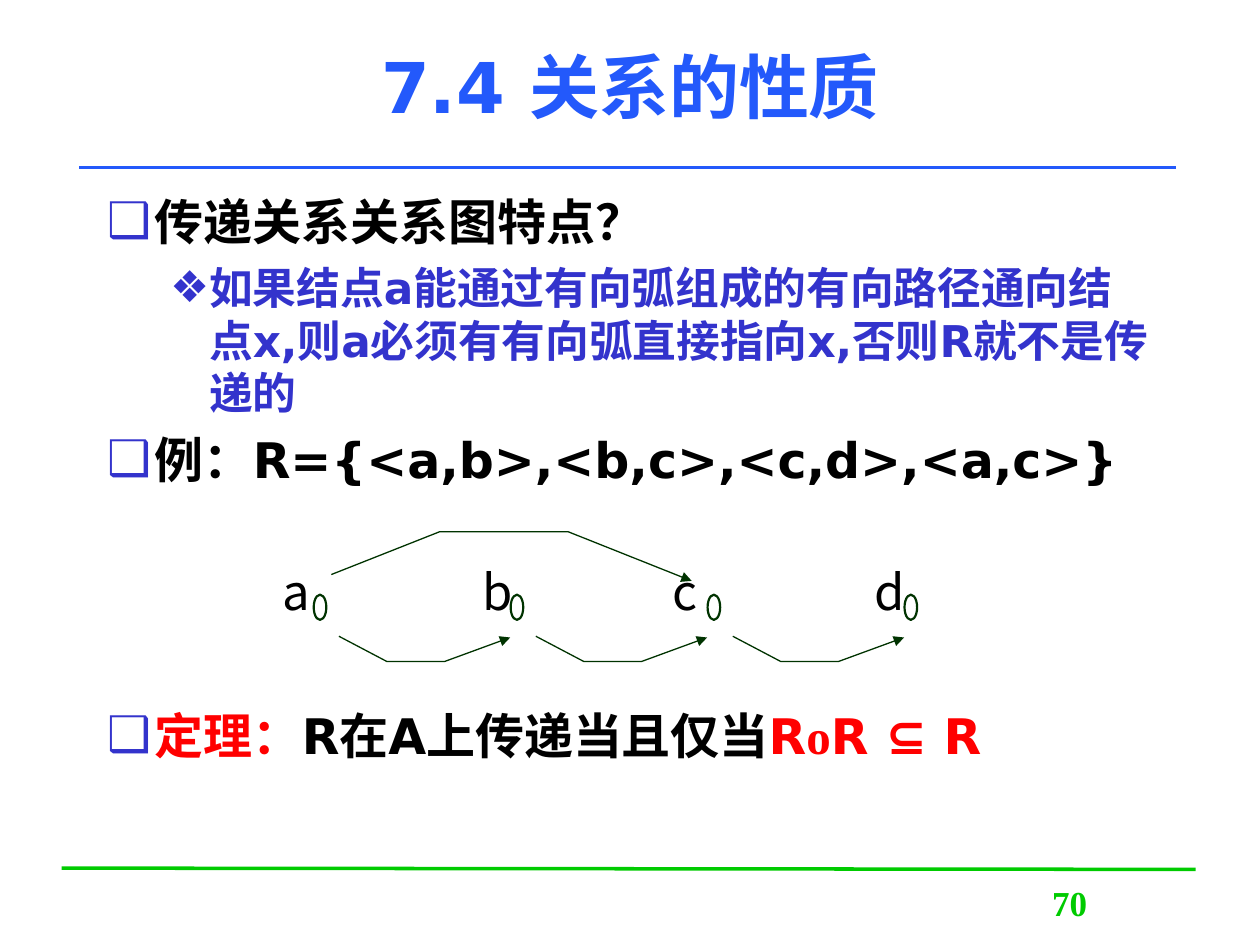
from dataclasses import dataclass

from lxml import etree
from pptx import Presentation
from pptx.dml.color import RGBColor
from pptx.enum.shapes import MSO_CONNECTOR, MSO_SHAPE
from pptx.enum.text import MSO_ANCHOR, MSO_AUTO_SIZE, PP_ALIGN
from pptx.oxml.ns import qn
from pptx.util import Inches, Pt

STRAIGHT = MSO_CONNECTOR.STRAIGHT
OVAL = MSO_SHAPE.OVAL
CENTER = PP_ALIGN.CENTER
MIDDLE = MSO_ANCHOR.MIDDLE
NO_FIT = MSO_AUTO_SIZE.NONE

COLORS = {
    "title": "2359FB",
    "footer": "00CB00",
    "detail": "3333CC",
    "text": "000000",
    "theorem": "FF0000",
    "graph": "003300",
}
HEADING_FONT = "DejaVu Sans"
SERIF_FONT = "Times New Roman"
LABEL_FONT = "Noto Sans CJK SC"
NODE_PITCH = 1.563


@dataclass(frozen=True)
class Piece:
    text: str
    color: str = "text"
    font: str = HEADING_FONT


@dataclass(frozen=True)
class Point:
    pieces: tuple[Piece, ...]
    level: int = 0
    size: float = 28
    before: float = 6.5
    margin: float = 0.38
    hanging: float = 0.38
    bullet: str = "❑"


@dataclass(frozen=True)
class Node:
    name: str
    label_left: float


@dataclass(frozen=True)
class Rule:
    start: tuple[float, float]
    end: tuple[float, float]
    color: str


RULES = (
    Rule((0.49, 6.89), (9.49, 6.9), "footer"),
    Rule((0.63, 1.33), (9.33, 1.33), "title"),
)
POINTS = (
    Point((Piece("传递关系关系图特点？"),), before=0),
    Point(
        (Piece("如果结点a能通过有向弧组成的有向路径通向结点x,则a必须有有向弧直接指向x,否则R就不是传递的", "detail"),),
        level=1, size=25, before=6, margin=0.81, hanging=0.31, bullet="❖",
    ),
    Point((Piece("例：R={<a,b>,<b,c>,<c,d>,<a,c>}"),)),
    Point(
        (
            Piece("定理：", "theorem"),
            Piece("R在A上传递当且仅当"),
            Piece("R", "theorem"),
            Piece("ο", "theorem", SERIF_FONT),
            Piece("R ⊆ R", "theorem"),
        ),
        before=124,
    ),
)
NODES = (Node("a", 2.14), Node("b", 3.73), Node("c", 5.24), Node("d", 6.84))
LONG_ARC = ((2.63, 4.56), (3.49, 4.22), (4.51, 4.22), (5.49, 4.61))
SHORT_ARC = ((2.69, 5.05), (3.07, 5.25), (3.53, 5.25), (4.05, 5.06))


def rgb(color: str) -> RGBColor:
    return RGBColor.from_string(COLORS[color])


def write(paragraph, text: str, *, size: float, color: str = "text",
          font: str = HEADING_FONT, bold: bool = True, align=None) -> None:
    if align is not None:
        paragraph.alignment = align
    run = paragraph.add_run()
    run.text = text
    run.font.size = Pt(size)
    run.font.bold = bold
    run.font.name = font
    run.font.color.rgb = rgb(color)
    east_asian = etree.Element(qn("a:ea"), typeface=font)
    run.font._element.find(qn("a:latin")).addnext(east_asian)


def place(shape, left: float, top: float, width: float, height: float) -> None:
    shape.left, shape.top = Inches(left), Inches(top)
    shape.width, shape.height = Inches(width), Inches(height)


def add_point(paragraph, point: Point) -> None:
    paragraph.level = point.level
    paragraph.space_before = Pt(point.before)
    properties = paragraph._p.get_or_add_pPr()
    properties.set("marL", str(Inches(point.margin)))
    properties.set("indent", str(-Inches(point.hanging)))
    bullet_color = etree.SubElement(properties, qn("a:buClr"))
    etree.SubElement(bullet_color, qn("a:srgbClr"), val=COLORS["detail"])
    etree.SubElement(properties, qn("a:buFont"), typeface=HEADING_FONT)
    etree.SubElement(properties, qn("a:buChar"), char=point.bullet)
    for piece in point.pieces:
        write(paragraph, piece.text, size=point.size, color=piece.color, font=piece.font)


def add_rule(shapes, rule: Rule) -> None:
    line = shapes.add_connector(STRAIGHT, *map(Inches, rule.start + rule.end))
    line.line.color.rgb = rgb(rule.color)
    line.line.width = Pt(2)
    etree.SubElement(line._element.spPr, qn("a:effectLst"))


def outline(shape, width: float) -> None:
    shape.shadow.inherit = False
    shape.fill.background()
    shape.line.color.rgb = rgb("graph")
    shape.line.width = Pt(width)


def add_arc(shapes, vertices, shift: float = 0) -> None:
    start, *rest = [(Inches(x + shift), Inches(y)) for x, y in vertices]
    builder = shapes.build_freeform(*start)
    builder.add_line_segments(rest, close=False)
    arc = builder.convert_to_shape()
    outline(arc, 0.75)
    etree.SubElement(arc.line._get_or_add_ln(), qn("a:tailEnd"), type="triangle")


def add_label(shapes, text: str, left: float, top: float, width: float,
              height: float, **text_format) -> None:
    box = shapes.add_textbox(0, 0, 0, 0)
    place(box, left, top, width, height)
    box.text_frame.word_wrap = False
    write(box.text_frame.paragraphs[0], text, **text_format)


def main() -> None:
    presentation = Presentation()
    presentation.slide_width, presentation.slide_height = Inches(10), Inches(7.5)
    slide = presentation.slides.add_slide(presentation.slide_layouts[1])
    shapes = slide.shapes

    title = shapes.title
    place(title, 0.75, 0.05, 8.5, 1.25)
    title.text_frame.vertical_anchor = MIDDLE
    title.text_frame.auto_size = NO_FIT
    write(title.text_frame.paragraphs[0], "7.4 关系的性质", size=40, color="title", align=CENTER)

    body = slide.placeholders[1]
    place(body, 0.75, 1.47, 8.5, 5.35)
    body.text_frame.auto_size = NO_FIT
    for index, point in enumerate(POINTS):
        frame = body.text_frame
        add_point(frame.add_paragraph() if index else frame.paragraphs[0], point)

    for rule in RULES:
        add_rule(shapes, rule)
    add_label(shapes, "70", 7.7, 6.95, 1.58, 0.5,
              size=20, color="footer", font=SERIF_FONT, align=CENTER)

    add_arc(shapes, LONG_ARC)
    for index, node in enumerate(NODES):
        shift = index * NODE_PITCH
        ring = shapes.add_shape(OVAL, Inches(2.49 + shift), Inches(4.72), Inches(0.1), Inches(0.2))
        outline(ring, 1.25)
        if index < len(NODES) - 1:
            add_arc(shapes, SHORT_ARC, shift)
        add_label(shapes, node.name, node.label_left, 4.41, 0.4, 0.57,
                  size=28, font=LABEL_FONT, bold=False)

    presentation.save("out.pptx")


main()
